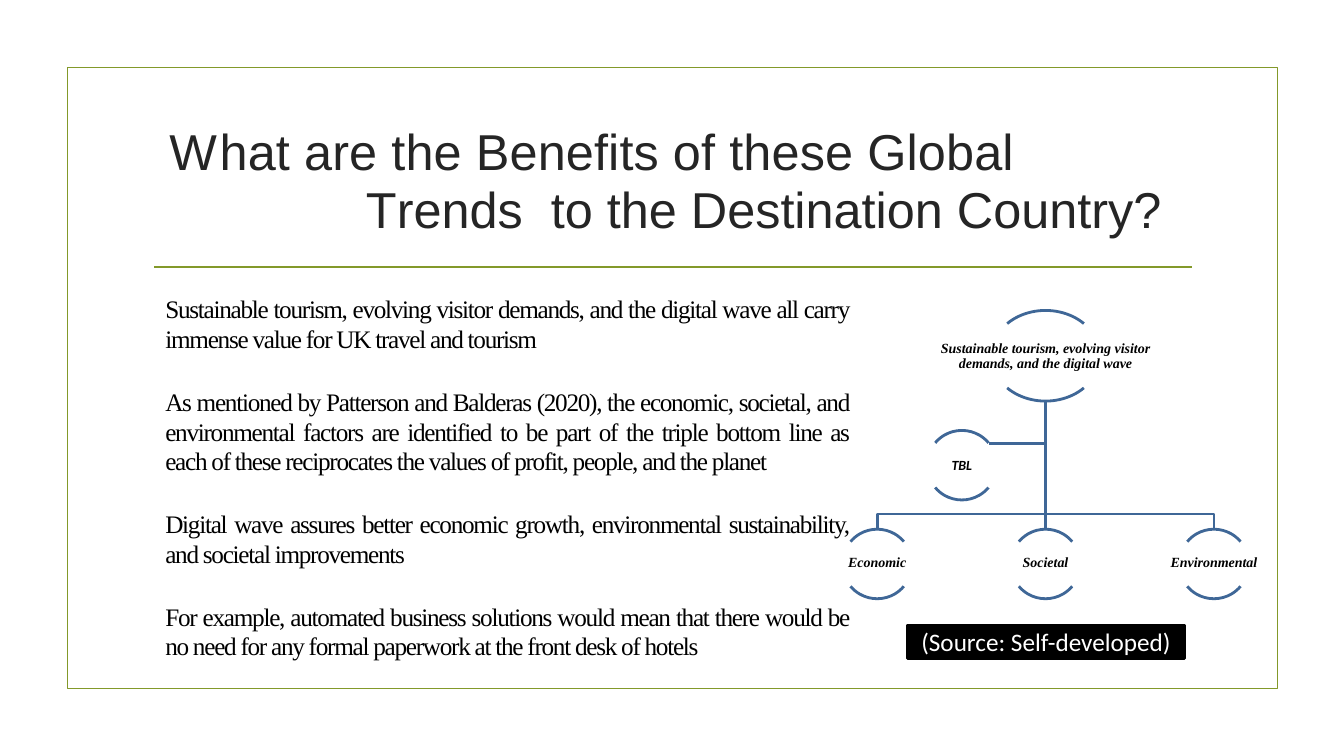
import pptx
import pptx.util
import pptx.dml.color
import pptx.enum.shapes
import pptx.enum.text
import pptx.oxml.ns
from lxml import etree

Inches = pptx.util.Inches
Pt = pptx.util.Pt
Shape = pptx.enum.shapes.MSO_SHAPE
Align = pptx.enum.text.PP_ALIGN
Anchor = pptx.enum.text.MSO_ANCHOR

HUES = {"green": "83992A", "blue": "3F6797", "title": "252525",
        "black": "000000", "white": "FFFFFF"}


class Board:
    def __init__(self, slide):
        self.items = slide.shapes
        self.serif = "Times New Roman"
        self.sans = "Calibri"

    def hue(self, name):
        return pptx.dml.color.RGBColor.from_string(HUES[name])

    def stroke(self, item, hue, width):
        item.line.color.rgb = self.hue(hue)
        item.line.width = Pt(width)

    def shape(self, kind, box, hue, width, fill=None):
        item = self.items.add_shape(kind, *map(Inches, box))
        item.shadow.inherit = False
        if fill:
            item.fill.solid()
            item.fill.fore_color.rgb = self.hue(fill)
        else:
            item.fill.background()
        self.stroke(item, hue, width)
        return item

    def line(self, start, end, hue, width):
        item = self.items.add_connector(
            pptx.enum.shapes.MSO_CONNECTOR.STRAIGHT,
            *map(Inches, start + end))
        self.stroke(item, hue, width)
        etree.SubElement(item.line._get_or_add_ln().getparent(),
                         pptx.oxml.ns.qn("a:effectLst"))

    def bend(self, points, hue, width, close=False):
        first, *rest = [(Inches(x), Inches(y)) for x, y in points]
        pen = self.items.build_freeform(*first)
        pen.add_line_segments(rest, close=close)
        item = pen.convert_to_shape()
        item.shadow.inherit = False
        item.fill.background()
        self.stroke(item, hue, width)

    def frame(self, box, top=0.0, side=0.0, anchor=Anchor.TOP):
        frame = self.items.add_textbox(*map(Inches, box)).text_frame
        frame.word_wrap = True
        frame.margin_left = frame.margin_right = Inches(side)
        frame.margin_top, frame.margin_bottom = Inches(top), Inches(side)
        frame.vertical_anchor = anchor
        return frame

    def run(self, para, text, size, font, hue, gap=0.0, strong=False):
        run = para.add_run()
        run.text = text
        run.font.size = Pt(size)
        run.font.name = font
        run.font.color.rgb = self.hue(hue)
        run.font.bold = run.font.italic = strong
        if gap:
            run._r.get_or_add_rPr().set("spc", str(round(gap * 100)))

    def node(self, mid, top, wide, high, text, box, font=None):
        """Label between an upper and a lower arc; box is top, width, height."""
        for start, end in ((132, 192), (24, 84)):
            arc = self.shape(Shape.ARC, (mid - wide / 2, top, wide, high),
                             "blue", 2)
            arc.adjustments[0], arc.adjustments[1] = start, end
        y, w, h = box
        frame = self.frame((mid - w / 2, y, w, h), 0.01, 0.01, Anchor.MIDDLE)
        para = frame.paragraphs[0]
        para.alignment = Align.CENTER
        para.line_spacing = 0.9
        self.run(para, text, 10, font or self.serif, "black", strong=True)


def main():
    deck = pptx.Presentation()
    deck.slide_width, deck.slide_height = Inches(13.33), Inches(7.5)
    board = Board(deck.slides.add_slide(deck.slide_layouts[6]))

    # Border and rule
    left, top, right, bottom = 0.67, 0.67, 12.67, 6.83
    board.bend([(left, bottom), (right, bottom), (right, top), (left, top)],
               "green", 1.25, close=True)
    board.line((1.53, 2.65), (11.82, 2.65), "green", 1.25)

    # Title with a hanging indent
    para = board.frame((1.67, 1.16, 9.99, 1.2), 0.06).paragraphs[0]
    props = para._p.get_or_add_pPr()
    props.set("marL", str(Inches(1.96)))
    props.set("indent", str(Inches(-1.95)))
    para.line_spacing = Pt(41.3)
    for text, gap in (("W", 1.9), ("hat are the Benefits of these Global ", 0.1),
                      ("T", -2.5), ("rends", 0), (" ", 10),
                      ("to the Destination Country?", 0)):
        board.run(para, text, 36, "Arial", "title", gap)

    # Body
    body = (
        "Sustainable tourism, evolving visitor demands, and the digital wave "
        "all carry immense value for UK travel and tourism",
        "As mentioned by Patterson and Balderas (2020), the economic, "
        "societal, and environmental factors are identified to be part of the "
        "triple bottom line as each of these reciprocates the values of "
        "profit, people, and the planet",
        "Digital wave assures better economic growth, environmental "
        "sustainability, and societal improvements",
        "For example, automated business solutions would mean that there "
        "would be no need for any formal paperwork at the front desk of hotels",
    )
    frame = board.frame((1.63, 2.92, 6.79, 3.73), 0.01)
    for i, text in enumerate(body):
        para = frame.add_paragraph() if i else frame.paragraphs[0]
        para._p.get_or_add_pPr().set("marL", str(Inches(0.01)))
        para.alignment = Align.JUSTIFY
        para.line_spacing = 0.98
        if i:
            para.space_before = Pt(23.7)
        board.run(para, text, 18, board.serif, "black", -0.9)

    # Tree branches
    mid, base, bar, low, step = 10.37, 3.98, 5.1, 5.25, 1.67
    board.bend([(mid, base), (mid, 4.4), (9.81, 4.4)], "blue", 2)
    for x in (mid - step, mid + step):
        board.bend([(mid, base), (mid, bar), (x, bar), (x, low)], "blue", 2)
    board.line((mid, base), (mid, low), "blue", 2)

    # Tree nodes
    board.node(mid, 3.08, 1.08, 0.9, "Sustainable tourism, evolving visitor "
               "demands, and the digital wave", (3.25, 2.17, 0.58))
    for i, text in enumerate(("Economic", "Societal", "Environmental")):
        board.node(mid + (i - 1) * step, low, 0.69, 0.69, text,
                   (5.37, 1.37, 0.44))
    board.node(9.54, 4.27, 0.69, 0.69, "TBL", (4.4, 1.37, 0.44), board.sans)

    # Source tag
    tag = board.shape(Shape.RECTANGLE, (9, 6.2, 2.75, 0.33), "black", 2,
                      "black")
    tag.text_frame.vertical_anchor = Anchor.MIDDLE
    para = tag.text_frame.paragraphs[0]
    para.alignment = Align.CENTER
    board.run(para, "(Source: Self-developed)", 18, board.sans, "white")

    deck.save("out.pptx")


if __name__ == "__main__":
    main()
